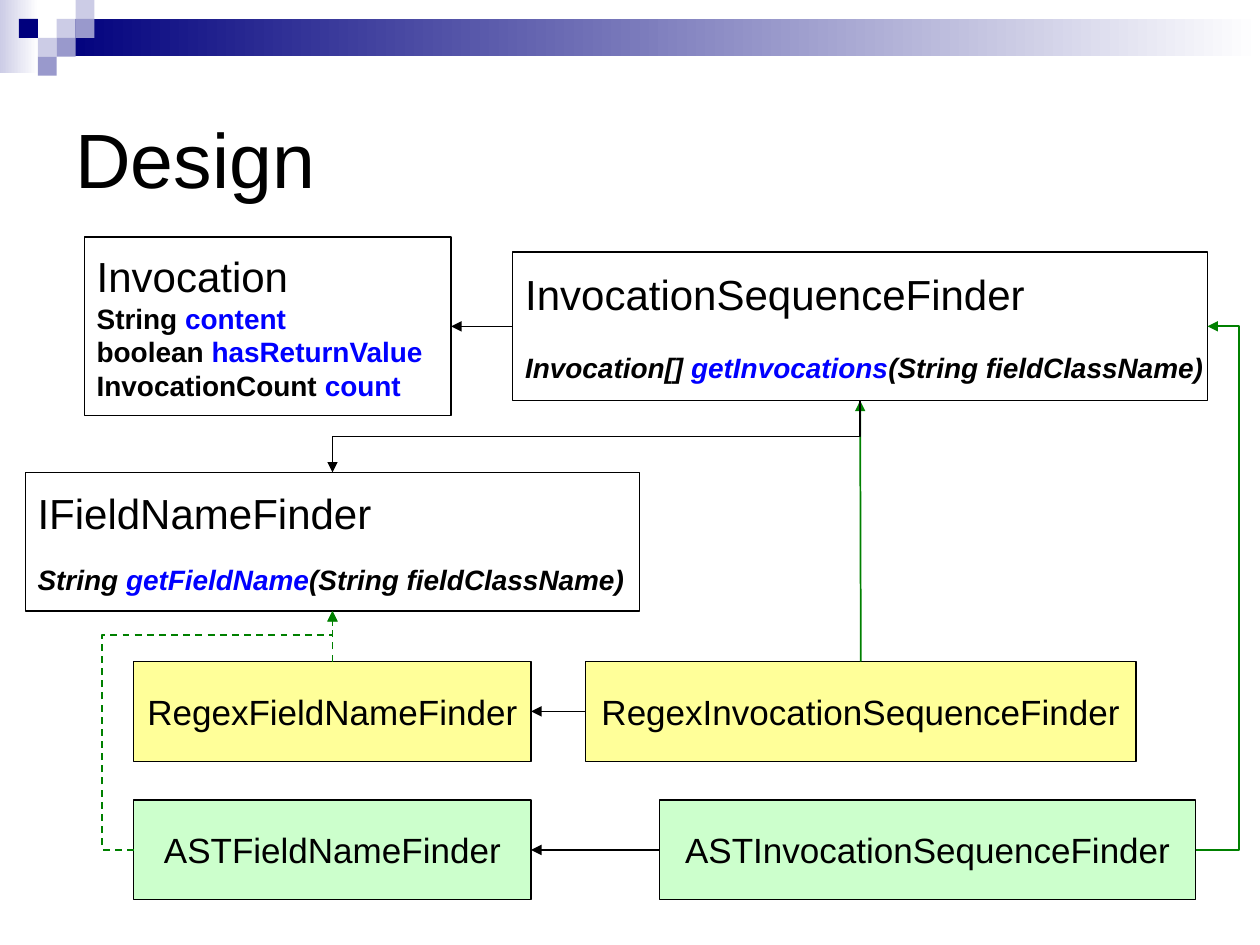
"""Build the class design slide with its boxes and arrows."""

from dataclasses import dataclass

from lxml.etree import SubElement
from pptx import Presentation
from pptx.dml.color import RGBColor
from pptx.enum.dml import MSO_LINE
from pptx.enum.shapes import MSO_CONNECTOR, MSO_SHAPE
from pptx.enum.text import MSO_ANCHOR, PP_ALIGN
from pptx.oxml.ns import qn
from pptx.util import Pt

TOP, LEFT, BOTTOM, RIGHT = range(4)


@dataclass(frozen=True)
class Theme:
    font: str = "Arial"
    title_size: float = 44
    heading_size: float = 24
    label_size: float = 20
    member_size: float = 16
    black: str = "000000"
    white: str = "FFFFFF"
    name: str = "0000FF"
    inherit: str = "008000"
    regex: str = "FFFF99"
    ast: str = "CCFFCC"
    navy: str = "00007D"
    medium: str = "9999CC"
    pale: str = "CCCCE6"
    use_width: float = 0.75
    inherit_width: float = 1


THEME = Theme()


def color(value):
    return RGBColor.from_string(value)


def format_run(run, size, fill=THEME.black, bold=False, italic=False):
    font = run.font
    font.name, font.size = THEME.font, Pt(size)
    font.bold, font.italic = bold, italic
    font.color.rgb = color(fill)


def add_rectangle(slide, bounds, fill):
    shape = slide.shapes.add_shape(MSO_SHAPE.RECTANGLE, *map(Pt, bounds))
    shape.shadow.inherit = False
    shape.fill.solid()
    shape.fill.fore_color.rgb = color(fill)
    shape.line.fill.background()
    return shape


def add_fade(slide, bounds, start):
    shape = add_rectangle(slide, bounds, start)
    shape.fill.gradient()
    shape.fill.gradient_angle = 0
    for stop, value in zip(shape.fill.gradient_stops, (start, THEME.white)):
        stop.color.rgb = color(value)


def add_header(slide):
    add_fade(slide, (0, 0, 22, 41.8), THEME.pale)
    add_fade(slide, (32.4, 10.8, 687.6, 21.4), THEME.navy)
    step = 10.8
    squares = [
        (2, 1, THEME.pale), (3, 0, THEME.pale), (3, 1, THEME.medium),
        (1, 2, THEME.pale), (0, 1, THEME.navy), (2, 2, THEME.medium),
        (1, 3, THEME.medium),
    ]
    for column, row, fill in squares:
        add_rectangle(slide, ((column + 1) * step, row * step, step, step), fill)


def add_title(slide, text):
    frame = slide.shapes.add_textbox(Pt(36), Pt(36), Pt(648), Pt(108)).text_frame
    frame.word_wrap = True
    frame.vertical_anchor = MSO_ANCHOR.MIDDLE
    frame.text = text
    format_run(frame.paragraphs[0].runs[0], THEME.title_size)


def add_box(slide, bounds, text, fill=THEME.white, size=THEME.label_size,
            alignment=PP_ALIGN.CENTER):
    shape = add_rectangle(slide, bounds, fill)
    shape.line.color.rgb = color(THEME.black)
    shape.line.width = Pt(THEME.use_width)
    frame = shape.text_frame
    frame.word_wrap = False
    frame.vertical_anchor = MSO_ANCHOR.MIDDLE
    frame.text = text
    paragraph = frame.paragraphs[0]
    paragraph.alignment = alignment
    format_run(paragraph.runs[0], size)
    return shape


def add_class_box(slide, bounds, heading, members, gap=0, italic=False):
    shape = add_box(slide, bounds, heading, size=THEME.heading_size,
                    alignment=PP_ALIGN.LEFT)
    for before, name, after in members:
        paragraph = shape.text_frame.add_paragraph()
        paragraph.alignment = PP_ALIGN.LEFT
        paragraph.space_before = Pt(gap)
        for text, fill in ((before, THEME.black), (name, THEME.name), (after, THEME.black)):
            if text:
                run = paragraph.add_run()
                run.text = text
                format_run(run, THEME.member_size, fill, True, italic)
    return shape


def add_arrow(slide, start, end, inherit=False, dashed=False, kind=MSO_CONNECTOR.STRAIGHT):
    connector = slide.shapes.add_connector(kind, *map(Pt, (*start, *end)))
    line = connector.line
    line.color.rgb = color(THEME.inherit if inherit else THEME.black)
    line.width = Pt(THEME.inherit_width if inherit else THEME.use_width)
    if dashed:
        line.dash_style = MSO_LINE.DASH
    SubElement(line._get_or_add_ln(), qn("a:tailEnd"), type="triangle")
    SubElement(connector._element.spPr, qn("a:effectLst"))
    return connector


def join(slide, source, source_side, target, target_side, **style):
    connector = add_arrow(slide, (0, 0), (0, 0), **style)
    connector.begin_connect(source, source_side)
    connector.end_connect(target, target_side)


def add_elbow(slide, start, end, bends, rotation=0, **style):
    connector = add_arrow(slide, start, end, kind=MSO_CONNECTOR.ELBOW, **style)
    properties = connector._element.spPr
    if rotation:
        properties.find(qn("a:xfrm")).set("rot", str(rotation * 60000))
    geometry = properties.find(qn("a:prstGeom"))
    geometry.set("prst", f"bentConnector{len(bends) + 2}")
    guides = geometry.find(qn("a:avLst"))
    for index, bend in enumerate(bends):
        axis = index % 2
        ratio = (bend - start[axis]) / (end[axis] - start[axis])
        SubElement(guides, qn("a:gd"), name=f"adj{index + 1}",
                   fmla=f"val {round(ratio * 100000)}")


def main():
    presentation = Presentation()
    presentation.slide_width, presentation.slide_height = Pt(720), Pt(540)
    slide = presentation.slides.add_slide(presentation.slide_layouts[6])
    add_header(slide)
    add_title(slide, "Design")

    invocation = add_class_box(
        slide, (48.2, 135.4, 209.6, 102.2), "Invocation",
        [("String ", "content", ""), ("boolean ", "hasReturnValue", ""),
         ("InvocationCount ", "count", "")])
    sequence_finder = add_class_box(
        slide, (293, 144, 397, 85), "InvocationSequenceFinder",
        [("Invocation[] ", "getInvocations", "(String fieldClassName)")], 18.4, True)
    field_finder = add_class_box(
        slide, (14.4, 270, 351.2, 79.2), "IFieldNameFinder",
        [("String ", "getFieldName", "(String fieldClassName)")], 13.8, True)
    regex_sequence = add_box(slide, (334.6, 378, 314.6, 57),
                             "RegexInvocationSequenceFinder", THEME.regex)
    regex_field = add_box(slide, (76.5, 378, 227, 57), "RegexFieldNameFinder", THEME.regex)
    ast_field = add_box(slide, (76.5, 457.2, 227, 57), "ASTFieldNameFinder", THEME.ast)
    ast_sequence = add_box(slide, (377, 457.2, 306.3, 57),
                           "ASTInvocationSequenceFinder", THEME.ast)

    join(slide, sequence_finder, LEFT, invocation, RIGHT)
    join(slide, regex_sequence, LEFT, regex_field, RIGHT)
    join(slide, ast_sequence, LEFT, ast_field, RIGHT)
    join(slide, regex_sequence, TOP, sequence_finder, BOTTOM, inherit=True)
    join(slide, regex_field, TOP, field_finder, BOTTOM, inherit=True, dashed=True)
    add_elbow(slide, (76.5, 485.7), (190, 349.2), [58.3, 362.7], inherit=True, dashed=True)
    add_elbow(slide, (683.3, 485.7), (690, 186.5), [708], inherit=True)
    add_elbow(slide, (320.25, 98.75), (361.25, 400.25), [340.75], rotation=90)

    presentation.save("out.pptx")


if __name__ == "__main__":
    main()
